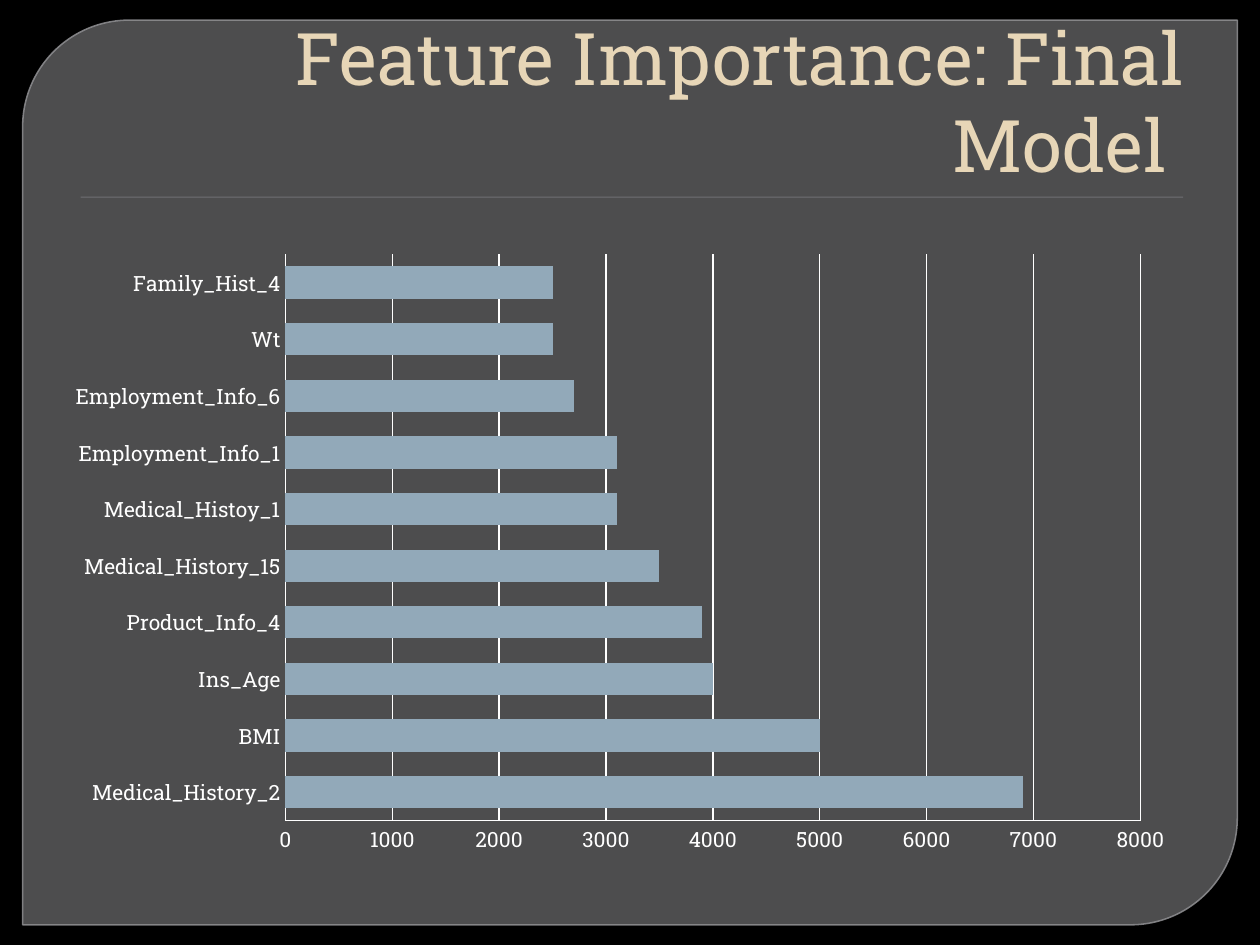
from pptx import Presentation
from pptx.chart.data import CategoryChartData
from pptx.dml.color import RGBColor
from pptx.enum.chart import XL_CHART_TYPE as Kind, XL_TICK_MARK as Tick
from pptx.enum.shapes import MSO_SHAPE as Shape
from pptx.enum.text import MSO_ANCHOR as Anchor, PP_ALIGN as Align
from pptx.oxml.ns import qn
from pptx.util import Inches, Pt
from lxml.etree import SubElement

BLACK = RGBColor(0x00, 0x00, 0x00)
WHITE = RGBColor(0xFF, 0xFF, 0xFF)
PANEL = RGBColor(0x77, 0x77, 0x79)
EDGE = RGBColor(0x8D, 0x8D, 0x90)
RULE = RGBColor(0x6F, 0x6F, 0x74)
CREAM = RGBColor(0xE7, 0xD6, 0xB7)
STEEL = RGBColor(0x92, 0xA9, 0xB9)
FACE = "Roboto Slab"


def fade(fill, pct):
    color = fill._xPr.find(qn("a:solidFill"))[0]
    SubElement(color, qn("a:alpha")).set("val", str(pct * 1000))


deck = Presentation()
deck.slide_width, deck.slide_height = Inches(10), Inches(7.5)
slide = deck.slides.add_slide(deck.slide_layouts[6])
slide.background.fill.solid()
slide.background.fill.fore_color.rgb = BLACK

panel = slide.shapes.add_shape(
    Shape.ROUND_2_DIAG_RECTANGLE, Inches(0.18), Inches(0.16), Inches(9.64), Inches(7.18))
panel.adjustments[0] = 0.118
panel.adjustments[1] = 0
panel.shadow.inherit = False
panel.fill.solid()
panel.fill.fore_color.rgb = PANEL
fade(panel.fill, 65)
panel.line.width = Pt(0.87)
panel.line.color.rgb = EDGE
fade(panel.line.fill, 88)

rule = slide.shapes.add_shape(
    Shape.RECTANGLE, Inches(0.64), Inches(1.56), Inches(8.75), Inches(0.01))
rule.shadow.inherit = False
rule.fill.solid()
rule.fill.fore_color.rgb = RULE
rule.line.fill.background()

title = slide.shapes.add_textbox(Inches(0.5), Inches(0.28), Inches(9), Inches(1.25))
frame = title.text_frame
frame.word_wrap = True
frame.vertical_anchor = Anchor.BOTTOM
frame.margin_bottom = Inches(0.05)
para = frame.paragraphs[0]
para.text = "Feature Importance: Final Model "
para.alignment = Align.RIGHT
para.font.name = FACE
para.font.size = Pt(41.4)
para.font.color.rgb = CREAM

scores = {
    "Medical_History_2": 6900,
    "BMI": 5000,
    "Ins_Age": 4000,
    "Product_Info_4": 3900,
    "Medical_History_15": 3500,
    "Medical_Histoy_1": 3100,
    "Employment_Info_1": 3100,
    "Employment_Info_6": 2700,
    "Wt": 2500,
    "Family_Hist_4": 2500,
}
data = CategoryChartData()
data.categories = list(scores)
data.add_series("Series 1", list(scores.values()))
chart = slide.shapes.add_chart(
    Kind.BAR_CLUSTERED, Inches(0.42), Inches(1.92), Inches(9), Inches(4.95), data).chart
chart.has_legend = False
chart.has_title = False
chart.font.name = FACE
chart.font.size = Pt(12)
chart.font.color.rgb = WHITE

plot = chart.plots[0]
plot.gap_width = 75
plot.overlap = -25
plot.vary_by_categories = False
bars = plot.series[0].format.fill
bars.solid()
bars.fore_color.rgb = STEEL

scale = chart.value_axis
scale.minimum_scale, scale.maximum_scale, scale.major_unit = 0, 8000, 1000
scale.has_major_gridlines = True
for axis in (chart.category_axis, scale):
    axis.major_tick_mark = Tick.NONE
    axis.minor_tick_mark = Tick.NONE
for part in (chart.category_axis, scale, scale.major_gridlines):
    part.format.line.color.rgb = WHITE
    part.format.line.width = Pt(0.87)

deck.save("out.pptx")
